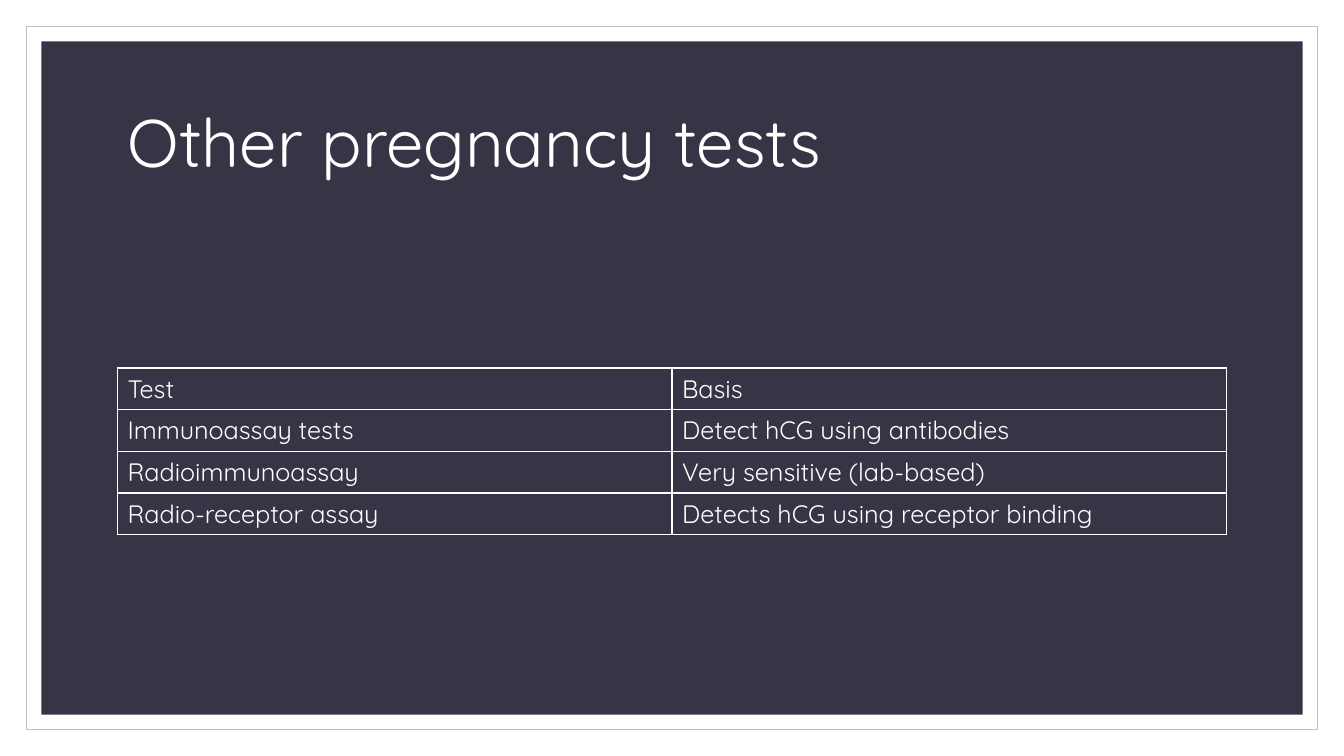
"""Build the slide on other pregnancy tests."""
from lxml.etree import SubElement
from pptx import Presentation
from pptx.dml.color import RGBColor
from pptx.enum.shapes import MSO_SHAPE
from pptx.enum.text import MSO_ANCHOR, MSO_AUTO_SIZE, PP_ALIGN
from pptx.oxml.ns import qn
from pptx.util import Inches, Pt

TITLE = "Other pregnancy tests"
ROWS = [
    ("Test", "Basis"),
    ("Immunoassay tests", "Detect hCG using antibodies"),
    ("Radioimmunoassay", "Very sensitive (lab-based)"),
    ("Radio-receptor assay", "Detects hCG using receptor binding"),
]
COLORS = {"white": "FFFFFF", "panel": "373545", "edge": "BFBFBF"}
FONT = "Quicksand"
WIDTH, HEIGHT = 13.33, 7.5
FRAMES = [(0.26, "white", "edge"), (0.41, "panel", None)]
CONTENT_W, ROW_H = 11, 0.41
LEFT = (WIDTH - CONTENT_W) / 2
TITLE_TOP, TITLE_H, TABLE_TOP = 0.7, 1.5, 3.65


def rgb(name):
    return RGBColor.from_string(COLORS[name])


def add_frame(s, margin, fill, line):
    box = (margin, margin, WIDTH - 2 * margin, HEIGHT - 2 * margin)
    sp = s.shapes.add_shape(MSO_SHAPE.RECTANGLE, *map(Inches, box))
    sp.shadow.inherit = False
    sp.fill.solid()
    sp.fill.fore_color.rgb = rgb(fill)
    if line:
        sp.line.color.rgb = rgb(line)
        sp.line.width = Pt(0.5)
    else:
        sp.line.fill.background()


def style_text(p, size):
    p.font.name = FONT
    p.font.size = Pt(size)
    p.font.color.rgb = rgb("white")


def add_title(s):
    sp = s.shapes.title
    sp.left, sp.top = Inches(LEFT), Inches(TITLE_TOP)
    sp.width, sp.height = Inches(CONTENT_W), Inches(TITLE_H)
    s.shapes._spTree.append(sp._element)
    tf = sp.text_frame
    tf.text = TITLE
    tf.word_wrap = True
    tf.auto_size = MSO_AUTO_SIZE.NONE
    tf.vertical_anchor = MSO_ANCHOR.MIDDLE
    p = tf.paragraphs[0]
    p.alignment = PP_ALIGN.LEFT
    p.line_spacing = 0.9
    style_text(p, 48)


def add_borders(cell):
    tc_pr = cell._tc.get_or_add_tcPr()
    for side in ("lnL", "lnR", "lnT", "lnB"):
        ln = SubElement(tc_pr, qn(f"a:{side}"), w=str(Pt(1)))
        fill = SubElement(ln, qn("a:solidFill"))
        SubElement(fill, qn("a:srgbClr"), val=COLORS["white"])


def add_tests_table(s):
    box = (LEFT, TABLE_TOP, CONTENT_W, ROW_H * len(ROWS))
    table = s.shapes.add_table(len(ROWS), len(ROWS[0]), *map(Inches, box)).table
    table.first_row = table.horz_banding = False
    for row, texts in zip(table.rows, ROWS):
        for cell, text in zip(row.cells, texts):
            cell.text = text
            cell.vertical_anchor = MSO_ANCHOR.MIDDLE
            add_borders(cell)
            cell.fill.solid()
            cell.fill.fore_color.rgb = rgb("panel")
            style_text(cell.text_frame.paragraphs[0], 18)


def main():
    prs = Presentation()
    prs.slide_width, prs.slide_height = Inches(WIDTH), Inches(HEIGHT)
    s = prs.slides.add_slide(prs.slide_layouts[5])
    for frame in FRAMES:
        add_frame(s, *frame)
    add_title(s)
    add_tests_table(s)
    prs.save("out.pptx")


if __name__ == "__main__":
    main()
